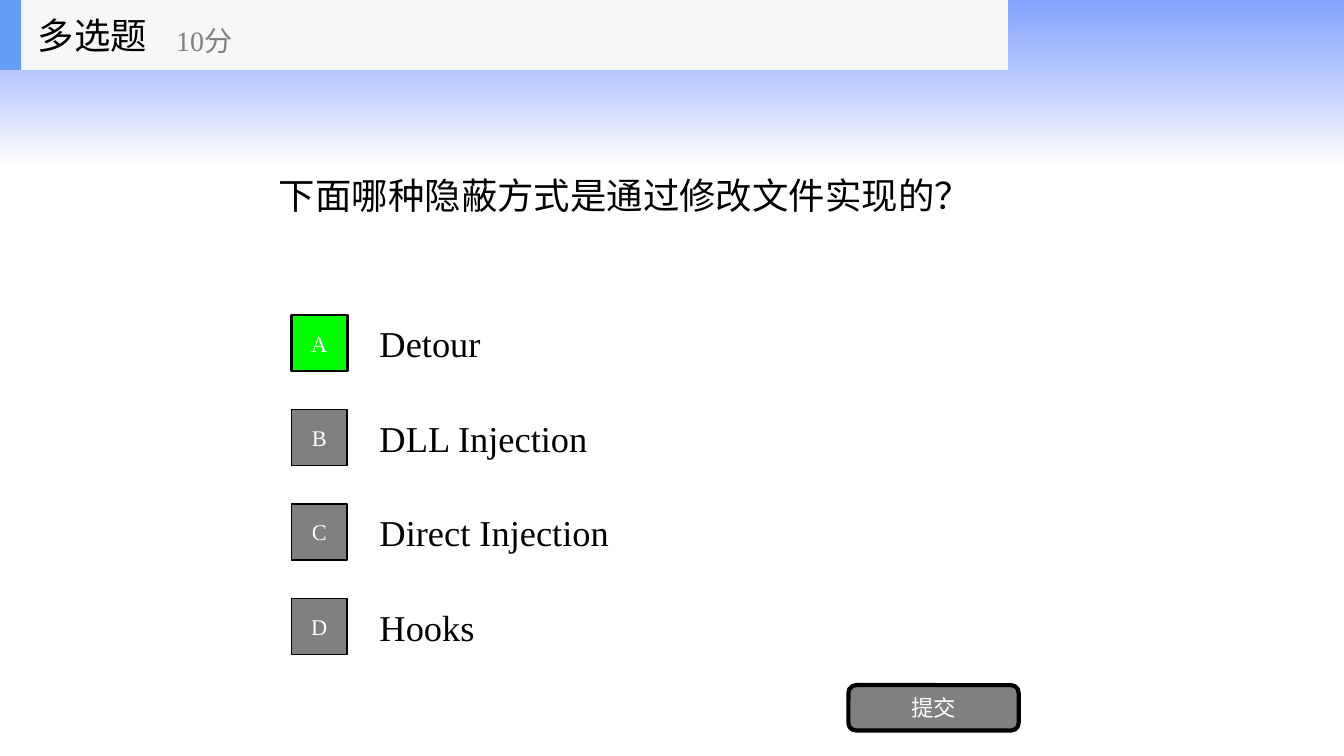
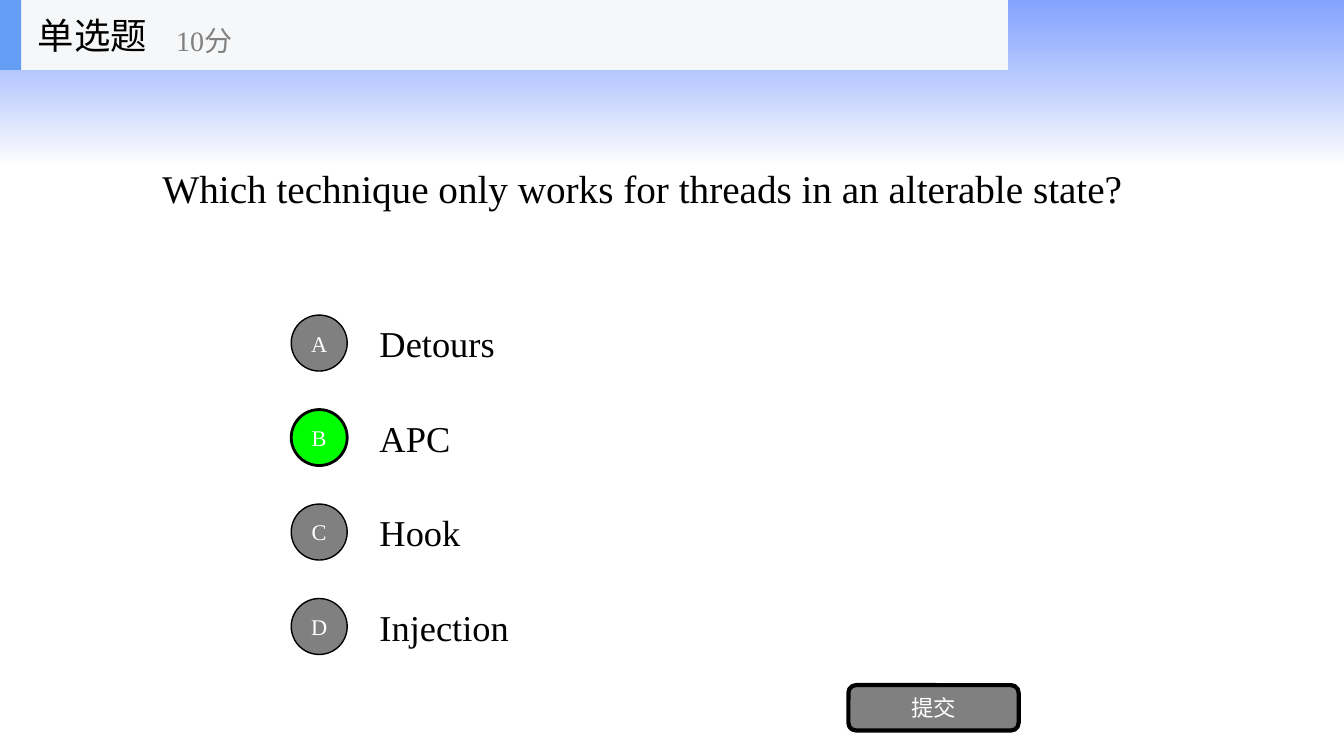
from lxml import etree
from pptx import Presentation
from pptx.dml.color import RGBColor
from pptx.enum.lang import MSO_LANGUAGE_ID
from pptx.enum.shapes import MSO_SHAPE
from pptx.enum.text import MSO_ANCHOR, MSO_AUTO_SIZE, PP_ALIGN
from pptx.oxml.ns import qn
from pptx.util import Inches, Pt

RECT, OVAL, ROUNDED = MSO_SHAPE.RECTANGLE, MSO_SHAPE.OVAL, MSO_SHAPE.ROUNDED_RECTANGLE
LEFT, CENTER, MIDDLE = PP_ALIGN.LEFT, PP_ALIGN.CENTER, MSO_ANCHOR.MIDDLE
NO_FIT = MSO_AUTO_SIZE.NONE
CHINESE = MSO_LANGUAGE_ID.SIMPLIFIED_CHINESE

BLACK = RGBColor(0x00, 0x00, 0x00)
WHITE = RGBColor(0xFF, 0xFF, 0xFF)
GRAY = RGBColor(0x80, 0x80, 0x80)
GREEN = RGBColor(0x00, 0xFF, 0x00)
SKY = RGBColor(0x33, 0x66, 0xFF)
PALE = RGBColor(0xF6, 0xF7, 0xF8)
ACCENT = RGBColor(0x63, 0x9E, 0xF4)
FONT = "Times New Roman"

prs = Presentation()
prs.slide_width, prs.slide_height = Inches(13.33), Inches(7.5)
COL, ROW = prs.slide_width / 24, prs.slide_height / 8
BADGE = COL

QUIZ = [
    ("多选题", "下面哪种隐蔽方式是通过修改文件实现的？", 26, (4.8, 0.81, 14.4, 2.5),
     RECT, "A", ["Detour", "DLL Injection", "Direct Injection", "Hooks"]),
    ("单选题", "Which technique only works for threads in an alterable state?", 28,
     (2.72, 0.74, 19.22, 2.5), OVAL, "B", ["Detours", "APC", "Hook", "Injection"]),
]


def grid(left, top, width, height):
    return [round(n) for n in (left * COL, top * ROW, width * COL, height * ROW)]


def write(sp, text, size, color, align=LEFT):
    tf = sp.text_frame
    tf.word_wrap = True
    tf.auto_size = NO_FIT
    tf.vertical_anchor = MIDDLE
    if align == CENTER:
        tf.margin_left = tf.margin_right = tf.margin_top = tf.margin_bottom = 0
    p = tf.paragraphs[0]
    p.alignment = align
    r = p.add_run()
    r.text = text
    r.font.name = FONT
    r.font.size = Pt(size)
    r.font.color.rgb = color
    r.font.language_id = CHINESE


layout = prs.slide_layouts[5]
slides = [prs.slides.add_slide(layout) for _ in QUIZ]

bands = [((0, 0, 24, 1.73), SKY), ((0, 0, 18, 0.74), PALE), ((0, 0, 0.38, 0.74), ACCENT)]
for i, (cells, color) in enumerate(bands):
    sp = slides[0].shapes.add_shape(RECT, *grid(*cells))
    sp.shadow.inherit = False
    sp.line.fill.background()
    if color == SKY:
        sp.fill.gradient()
        sp.fill.gradient_angle = 270
        for stop, tint, place in zip(sp.fill.gradient_stops, (SKY, WHITE), (0, 1)):
            stop.color.rgb = tint
            stop.position = place
        for clr, alpha in zip(sp.element.iter(qn("a:srgbClr")), (60, 70)):
            etree.SubElement(clr, qn("a:alpha")).set("val", str(alpha * 1000))
    else:
        sp.fill.solid()
        sp.fill.fore_color.rgb = color
    sp.element.nvSpPr.cNvPr.set("id", str(100 + i))
    layout.shapes.element.insert(2 + i, sp.element)

for s, (kind, question, size, cells, badge, answer, options) in zip(slides, QUIZ):
    title = s.shapes.title
    title.left, title.top, title.width, title.height = grid(*cells)
    write(title, question, size, BLACK)

    write(s.shapes.add_textbox(*grid(0.5, 0, 3.75, 0.74)), kind, 26, BLACK)
    write(s.shapes.add_textbox(*grid(2.97, 0.13, 4.5, 0.6)), "10分", 20, GRAY)

    buttons = []
    for i, (letter, option) in enumerate(zip("ABCD", options)):
        middle = 3.63 + i
        write(s.shapes.add_textbox(*grid(6.6, middle - 0.375, 12.6, 0.75)), option, 26, BLACK)
        height = BADGE / ROW
        right = letter == answer
        buttons.append((badge, (5.2, middle - height / 2, 1, height), letter,
                        GREEN if right else GRAY, 2 if right else 1))
    buttons.append((ROUNDED, (15.15, 7.25, 3.04, 0.48), "提交", GRAY, 3))

    for shape, cells, text, color, weight in buttons:
        sp = s.shapes.add_shape(shape, *grid(*cells))
        sp.shadow.inherit = False
        sp.fill.solid()
        sp.fill.fore_color.rgb = color
        sp.line.color.rgb = BLACK
        sp.line.width = Pt(weight)
        write(sp, text, 16, WHITE, CENTER)

prs.save("out.pptx")
